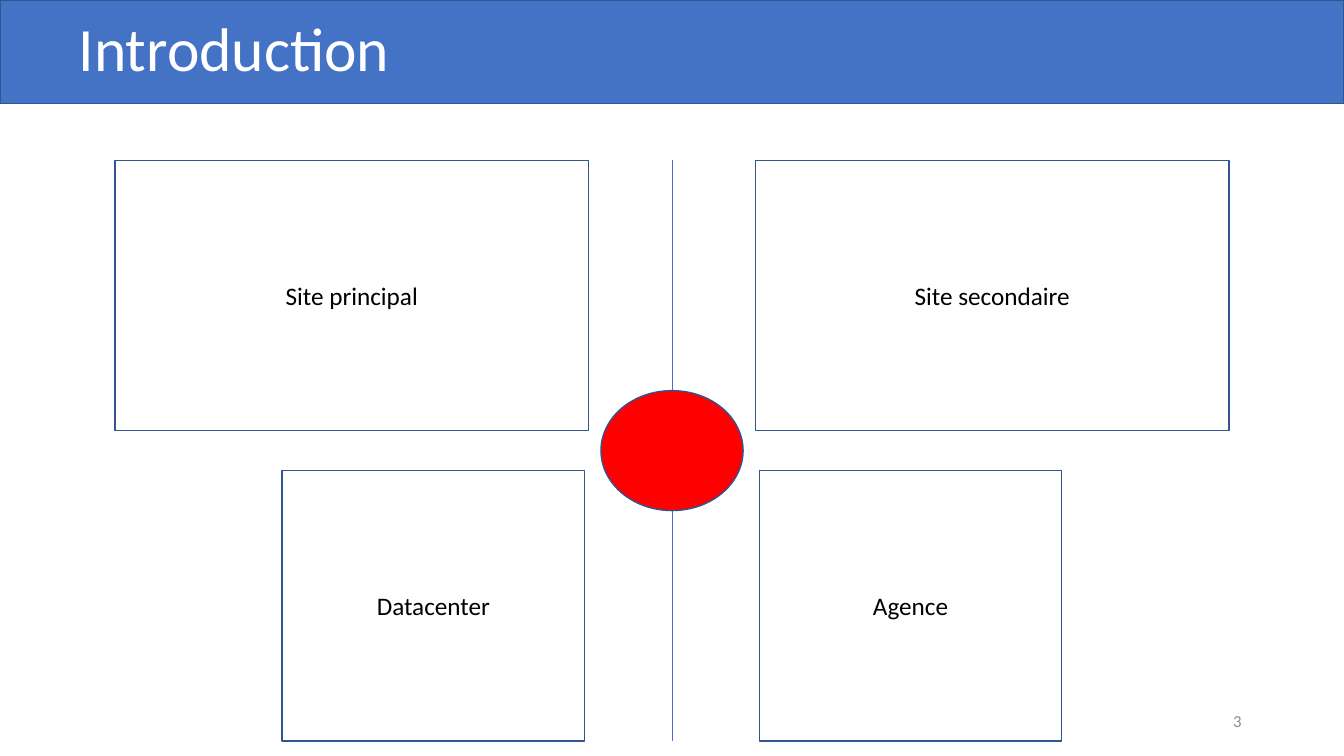
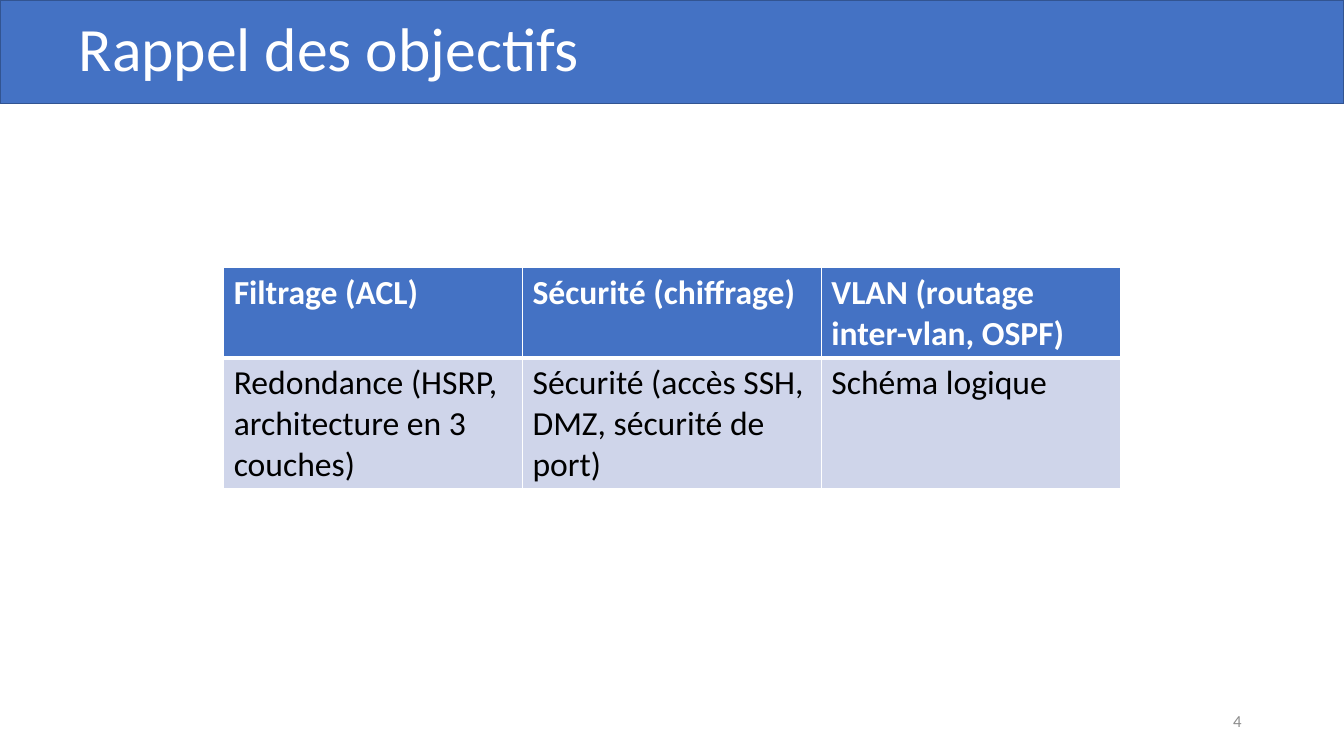
from lxml.etree import SubElement
from pptx import Presentation
from pptx.dml.color import RGBColor
from pptx.enum.shapes import MSO_CONNECTOR as Connector, MSO_SHAPE as Shape
from pptx.enum.text import MSO_ANCHOR as Anchor, MSO_AUTO_SIZE as AutoSize, PP_ALIGN as Align
from pptx.oxml.ns import qn
from pptx.util import Inches, Pt

BLUE = RGBColor(0x44, 0x72, 0xC4)
OUTLINE = RGBColor(0x32, 0x54, 0x91)
PALE = RGBColor(0xCF, 0xD5, 0xEA)
RED = RGBColor(0xFF, 0x00, 0x00)
GREY = RGBColor(0x8C, 0x8C, 0x8C)
BLACK = RGBColor(0x00, 0x00, 0x00)
WHITE = RGBColor(0xFF, 0xFF, 0xFF)

COLUMNS, ROWS = 80, 45
BAND_HEIGHT = 6.18
FONT = "Calibri"


class Slides:
    def __init__(self):
        self.deck = Presentation()
        self.deck.slide_width, self.deck.slide_height = Inches(13.33), Inches(7.5)
        self.layout = self.deck.slide_layouts[5]
        self.page = None

    def across(self, columns):
        return round(self.deck.slide_width * columns / COLUMNS)

    def down(self, rows):
        return round(self.deck.slide_height * rows / ROWS)

    def area(self, left, top, width, height):
        return self.across(left), self.down(top), self.across(width), self.down(height)

    def set_text(self, frame, text, size, color, align=Align.LEFT, bold=False):
        frame.text = text
        frame.word_wrap = True
        para = frame.paragraphs[0]
        para.alignment = align
        para.font.name, para.font.size = FONT, Pt(size)
        para.font.color.rgb, para.font.bold = color, bold
        return para

    def start_page(self, title, number):
        first = self.page is None
        self.page = self.deck.slides.add_slide(self.layout)
        if first:
            band = self.shape(Shape.RECTANGLE, (0, 0, COLUMNS, BAND_HEIGHT), BLUE)
            self.layout.shapes.element.insert(2, band.element)
        self.title(title)
        self.page_number(number)

    def title(self, text):
        box = self.page.shapes.title
        box.left, box.top, box.width, box.height = self.area(4.08, 0, 69.12, BAND_HEIGHT)
        frame = box.text_frame
        frame.auto_size, frame.vertical_anchor = AutoSize.NONE, Anchor.MIDDLE
        self.set_text(frame, text, 44, WHITE).line_spacing = 0.9

    def page_number(self, number):
        frame = self.page.shapes.add_textbox(*self.area(56.5, 41.7, 18, 2.4)).text_frame
        frame.vertical_anchor = Anchor.MIDDLE
        self.set_text(frame, str(number), 12, GREY, Align.RIGHT)

    def shape(self, kind, place, fill=None, text=None):
        shape = self.page.shapes.add_shape(kind, *self.area(*place))
        shape.shadow.inherit = False
        if fill is None:
            shape.fill.background()
        else:
            shape.fill.solid()
            shape.fill.fore_color.rgb = fill
        shape.line.color.rgb, shape.line.width = OUTLINE, Pt(1)
        if text:
            shape.text_frame.vertical_anchor = Anchor.MIDDLE
            self.set_text(shape.text_frame, text, 18, BLACK, Align.CENTER)
        return shape

    def divider(self, column, top, bottom):
        x = self.across(column)
        line = self.page.shapes.add_connector(
            Connector.STRAIGHT, x, self.down(top), x, self.down(bottom))
        line.line.color.rgb, line.line.width = BLUE, Pt(0.5)
        SubElement(line.element.spPr, qn("a:effectLst"))

    def table(self, place, rows, heights):
        frame = self.page.shapes.add_table(len(rows), len(rows[0]), *self.area(*place))
        table = frame.table
        for row, height in zip(table.rows, heights):
            row.height = self.down(height)
        for index, texts in enumerate(rows):
            header = index == 0
            for column, text in enumerate(texts):
                cell = table.cell(index, column)
                self.set_text(cell.text_frame, text, 24, WHITE if header else BLACK, bold=header)
                cell.fill.solid()
                cell.fill.fore_color.rgb = BLUE if header else PALE
        for index, row in enumerate(frame.element.iter(qn("a:tr"))):
            thick = "lnB" if index == 0 else "lnT"
            for properties in row.iter(qn("a:tcPr")):
                self.borders(properties, thick)

    def borders(self, properties, thick):
        for order, side in enumerate(("lnL", "lnR", "lnT", "lnB")):
            width = Pt(3 if side == thick else 1)
            line = SubElement(properties, qn(f"a:{side}"), w=str(width))
            fill = SubElement(line, qn("a:solidFill"))
            SubElement(fill, qn("a:srgbClr"), val=str(WHITE))
            properties.insert(order, line)


def introduction(slides):
    slides.start_page("Introduction", 3)
    top, height, gap = 9.54, 16.08, 2.4
    site_rows = [
        (6.84, 28.2, ("Site principal", "Site secondaire")),
        (16.8, 18, ("Datacenter", "Agence")),
    ]
    for index, (margin, width, names) in enumerate(site_rows):
        row = top + index * (height + gap)
        for left, name in zip((margin, COLUMNS - margin - width), names):
            slides.shape(Shape.RECTANGLE, (left, row, width, height), text=name)
    middle, center = COLUMNS / 2, top + height + gap / 2
    slides.divider(middle, top, top + 2 * height + gap)
    hub_width, hub_height = 8.46, 7.14
    hub = (middle - hub_width / 2, center - hub_height / 2, hub_width, hub_height)
    slides.shape(Shape.OVAL, hub, RED)


def objectives(slides):
    slides.start_page("Rappel des objectifs", 4)
    rows = [
        ("Filtrage (ACL)", "Sécurité (chiffrage)", "VLAN (routage inter-vlan, OSPF)"),
        ("Redondance (HSRP, architecture en 3 couches)",
         "Sécurité (accès SSH, DMZ, sécurité de port)", "Schéma logique"),
    ]
    slides.table((13.32, 15.9, 53.36, 13.2), rows, (5.4, 7.8))


def main():
    slides = Slides()
    introduction(slides)
    objectives(slides)
    slides.deck.save("out.pptx")


if __name__ == "__main__":
    main()
